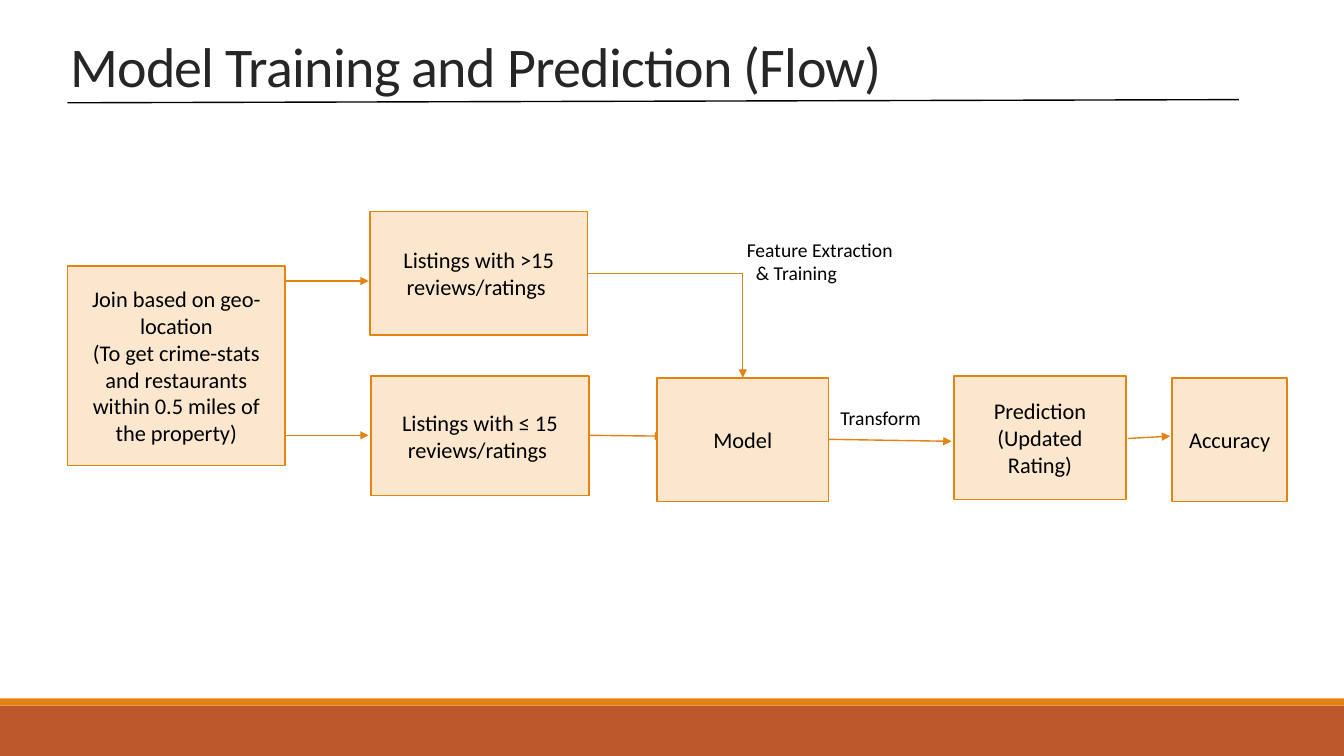
from lxml import etree
from pptx import Presentation
from pptx import util as u
from pptx.dml import color as dml
from pptx.enum import shapes, text
from pptx.oxml import ns

FONT = "Calibri"
AMBER, RUST, CREAM = "E48312", "BD582C", "FBE6CE"
BLACK, DARK = "000000", "262626"

# Flow parts in cm, relative to the flow region: left, top, width, height
NODES = [
    (["Join based on geo-location",
      "(To get crime-stats and restaurants within 0.5 miles of the property)"],
     (0, 1.37, 5.49, 5.03)),
    (["Listings with >15 reviews/ratings "], (7.62, 0, 5.49, 3.12)),
    (["Listings with ≤ 15 reviews/ratings "], (7.65, 4.14, 5.49, 3.02)),
    (["Model"], (14.86, 4.19, 4.32, 3.12)),
    (["Prediction", "(Updated Rating)"], (22.35, 4.14, 4.32, 3.12)),
    (["Accuracy"], (27.84, 4.19, 2.9, 3.12)),
]
# Arrow ends: from x, from y, to x, to y, bent or straight
ARROWS = [
    (5.49, 1.75, 7.59, 1.75, False),
    (5.49, 5.64, 7.59, 5.64, False),
    (13.13, 5.64, 15.01, 5.66, False),
    (19.18, 5.74, 22.28, 5.79, False),
    (26.72, 5.72, 27.79, 5.66, False),
    (13.11, 1.57, 17.02, 4.19, True),
]
# Labels: lines with their left indents, then the box
LABELS = [
    ([("Transform", 0)], (19.23, 4.78, 9.45, 0.86)),
    ([("Feature Extraction", 0), ("& Training", 0.23)],
     (16.87, 0.53, 6.46, 2.06)),
]


def tint(code):
    return dml.RGBColor.from_string(code)


def cms(*sizes):
    return [u.Cm(size) for size in sizes]


def style(part, values):
    for name, value in values.items():
        setattr(part, name, value)


def write(shape, lines, size, hue=BLACK, para=None, frame=None):
    """Fill a shape with (words, indent) lines and return the runs."""
    box = shape.text_frame
    style(box, {"word_wrap": True, **(frame or {})})
    runs = []
    for i, (words, indent) in enumerate(lines):
        item = box.add_paragraph() if i else box.paragraphs[0]
        style(item, para or {})
        if indent:
            item._p.get_or_add_pPr().set("marL", str(u.Cm(indent)))
        run = item.add_run()
        run.text = words
        style(run.font, {"name": FONT, "size": u.Pt(size)})
        run.font.color.rgb = tint(hue)
        runs.append(run)
    return runs


def rect(slide, box, fill, edge=None):
    shape = slide.shapes.add_shape(shapes.MSO_SHAPE.RECTANGLE, *cms(*box))
    shape.shadow.inherit = False
    shape.fill.solid()
    shape.fill.fore_color.rgb = tint(fill)
    if edge:
        shape.line.color.rgb = tint(edge)
        shape.line.width = u.Pt(1.25)
    else:
        shape.line.fill.background()
    return shape


def link(slide, ends, hue, head=False, bent=False):
    kind = shapes.MSO_CONNECTOR
    line = slide.shapes.add_connector(
        kind.ELBOW if bent else kind.STRAIGHT, *cms(*ends))
    line.line.color.rgb = tint(hue)
    line.line.width = u.Pt(1)
    props = line._element.spPr
    if bent:
        # One corner only
        props.find(ns.qn("a:prstGeom")).set("prst", "bentConnector2")
    if head:
        etree.SubElement(line.line._get_or_add_ln(),
                         ns.qn("a:tailEnd"), type="triangle")
    etree.SubElement(props, ns.qn("a:effectLst"))


def footer(slide, left, top, width, height):
    strip = 0.18
    rect(slide, (left, top + strip, width, height - strip), RUST)
    rect(slide, (left, top, width, strip), AMBER)


def title(slide, left, top, width, height):
    box = slide.shapes.add_textbox(*cms(left, top, width, height))
    runs = write(box, [("Model Training and Prediction (Flow)", 0)], 40, DARK,
                 {"line_spacing": 0.85},
                 {"vertical_anchor": text.MSO_ANCHOR.BOTTOM})
    runs[0].font._element.set("spc", "-50")
    # Rule under the title
    base = top + height
    link(slide, (left + 0.18, base - 0.03, left + 29.7, base - 0.11), BLACK)


def flow(slide, left, top):
    def place(x, y, *rest):
        return (left + x, top + y, *rest)

    # Arrows lie under the boxes
    for x, y, far, low, bent in ARROWS:
        link(slide, place(x, y) + place(far, low), AMBER, True, bent)
    # Boxes
    for lines, box in NODES:
        node = rect(slide, place(*box), CREAM, AMBER)
        write(node, [(words, 0) for words in lines], 16,
              para={"alignment": text.PP_ALIGN.CENTER},
              frame={"vertical_anchor": text.MSO_ANCHOR.MIDDLE})
    # Labels
    for lines, box in LABELS:
        label = slide.shapes.add_textbox(*cms(*place(*box)))
        write(label, lines, 14)


def main():
    deck = Presentation()
    style(deck, {"slide_width": u.Cm(33.87), "slide_height": u.Cm(19.05)})
    slide = deck.slides.add_slide(deck.slide_layouts[6])
    footer(slide, 0, 17.6, 33.87, 1.45)
    flow(slide, 1.7, 5.33)
    title(slide, 1.52, 0.38, 29.87, 2.24)
    deck.save("out.pptx")


if __name__ == "__main__":
    main()
